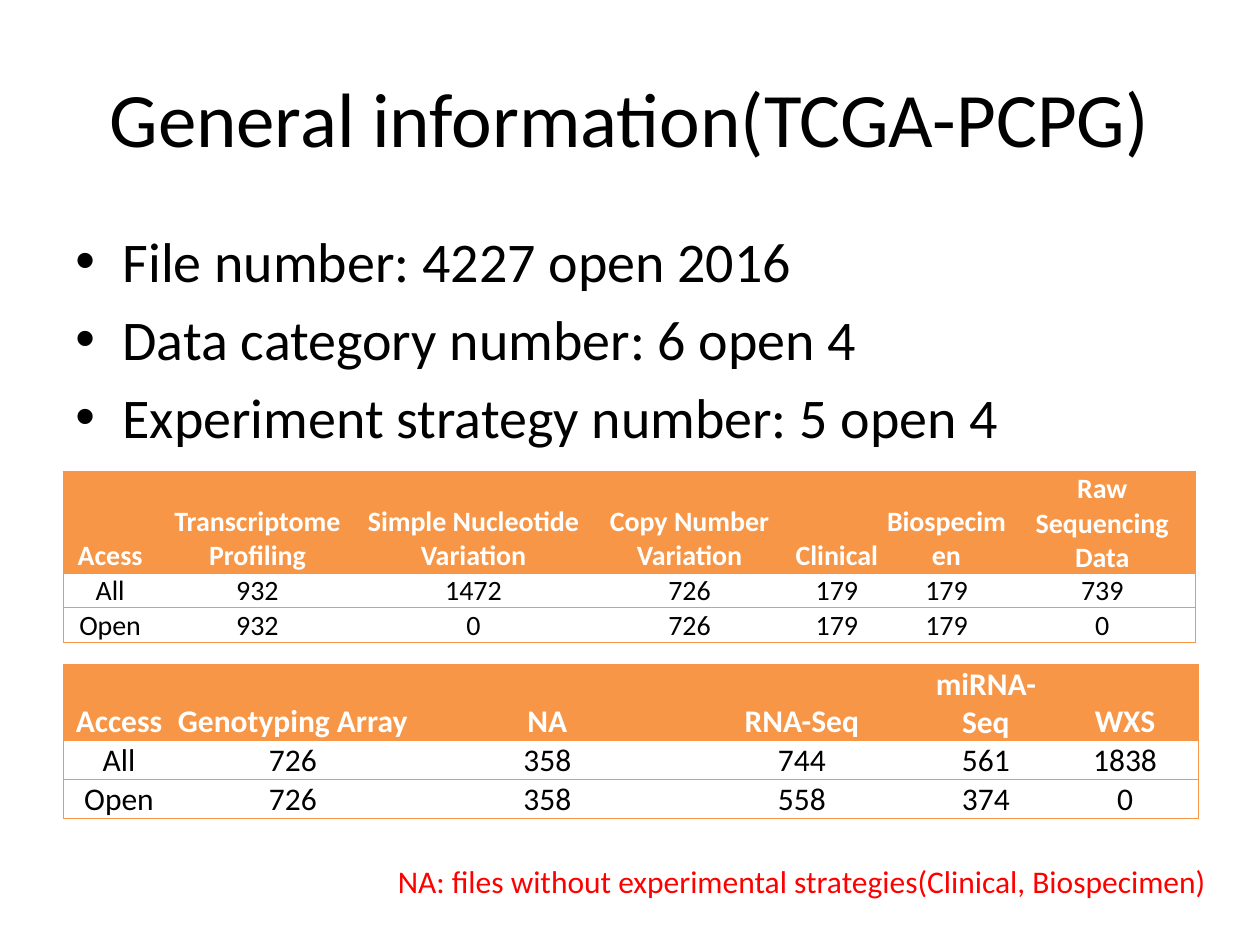
import pptx
import pptx.dml.color
import pptx.enum.text
import pptx.oxml
import pptx.oxml.ns
import pptx.util

Cm = pptx.util.Cm
Pt = pptx.util.Pt
Align = pptx.enum.text.PP_ALIGN
Anchor = pptx.enum.text.MSO_ANCHOR

COLORS = {"text": "000000", "accent": "F79646", "header": "FFFFFF", "note": "FF0000"}
FONT = "Calibri"
PLAIN_TABLE_STYLE = "{2D5ABB26-0587-4C30-8999-92F81FD0307C}"


def color(name):
    return pptx.dml.color.RGBColor.from_string(COLORS[name])


def style_paragraph(paragraph, size, color_name, align=Align.LEFT, bold=False):
    paragraph.alignment = align
    paragraph.font.name = FONT
    paragraph.font.size = Pt(size)
    paragraph.font.bold = bold
    paragraph.font.color.rgb = color(color_name)


def add_text(slide, box, lines, size, color_name="text", align=Align.LEFT, anchor=Anchor.TOP):
    """Place one paragraph per line in box (left, top, width, height in cm)."""
    frame = slide.shapes.add_textbox(*map(Cm, box)).text_frame
    frame.word_wrap = True
    frame.vertical_anchor = anchor
    frame.text = "\n".join(lines)
    for paragraph in frame.paragraphs:
        style_paragraph(paragraph, size, color_name, align)
    return frame


def add_bullets(slide, box, lines):
    frame = add_text(slide, box, lines, 32)
    for index, paragraph in enumerate(frame.paragraphs):
        properties = paragraph._p.get_or_add_pPr()
        properties.set("marL", str(Cm(0.95)))
        properties.set("indent", str(-Cm(0.95)))
        if index:
            paragraph.space_before = Pt(6)
        # Bullet elements go ahead of the default run properties
        default_run = properties.find(pptx.oxml.ns.qn("a:defRPr"))
        for tag, attribute in (("buFont", 'typeface="Arial"'), ("buChar", 'char="•"')):
            default_run.addprevious(pptx.oxml.parse_xml(
                f'<a:{tag} {pptx.oxml.ns.nsdecls("a")} {attribute}/>'))


def add_borders(cell, sides):
    properties = cell._tc.get_or_add_tcPr()
    for side in sides:
        properties.append(pptx.oxml.parse_xml(
            f'<a:ln{side} {pptx.oxml.ns.nsdecls("a")} w="{Pt(0.5)}"><a:solidFill>'
            f'<a:srgbClr val="{COLORS["accent"]}"/></a:solidFill></a:ln{side}>'))


def add_count_table(slide, left, top, widths, heights, rows, size):
    """Table with a filled header, ruled rows and an outer frame."""
    shape = slide.shapes.add_table(len(rows), len(widths), Cm(left), Cm(top),
                                   Cm(sum(widths)), Cm(sum(heights)))
    table = shape.table
    table.horz_banding = False
    table._tbl.tblPr.find(pptx.oxml.ns.qn("a:tableStyleId")).text = PLAIN_TABLE_STYLE
    for column, width in zip(table.columns, widths):
        column.width = Cm(width)
    for row, height in zip(table.rows, heights):
        row.height = Cm(height)

    last_column = len(widths) - 1
    for row_index, values in enumerate(rows):
        is_header = row_index == 0
        for column_index, value in enumerate(values):
            cell = table.cell(row_index, column_index)
            cell.text = value
            cell.vertical_anchor = Anchor.BOTTOM
            cell.margin_left = cell.margin_right = cell.margin_top = Cm(0.02)
            cell.margin_bottom = 0
            sides = ["L"] * (column_index == 0) + ["R"] * (column_index == last_column)
            add_borders(cell, sides + ["T", "B"])
            if is_header:
                cell.fill.solid()
                cell.fill.fore_color.rgb = color("accent")
            else:
                cell.fill.background()
            style_paragraph(cell.text_frame.paragraphs[0], size,
                            "header" if is_header else "text", Align.CENTER, is_header)


def main():
    presentation = pptx.Presentation()
    presentation.slide_width = Cm(25.4)
    presentation.slide_height = Cm(19.05)
    slide = presentation.slides.add_slide(presentation.slide_layouts[6])

    # Title and key figures
    add_text(slide, (1.27, 0.76, 22.86, 3.18), ["General information(TCGA-PCPG)"], 44,
             align=Align.CENTER, anchor=Anchor.MIDDLE)
    add_bullets(slide, (1.27, 4.45, 22.86, 12.57), [
        "File number: 4227 open 2016",
        "Data category number: 6 open 4",
        "Experiment strategy number: 5 open 4",
    ])

    # Files by data category
    add_count_table(slide, 1.27, 9.5, [1.9, 4.04, 4.67, 4.04, 1.9, 2.52, 3.76],
                    [1.75, 0.69, 0.69], [
        ["Acess", "Transcriptome Profiling", "Simple Nucleotide Variation",
         "Copy Number Variation", "Clinical", "Biospecimen", "Raw Sequencing Data"],
        ["All", "932", "1472", "726", "179", "179", "739"],
        ["Open", "932", "0", "726", "179", "179", "0"],
    ], 16)

    # Files by experimental strategy
    add_count_table(slide, 1.27, 13.39, [2.26, 4.75, 5.51, 4.75, 2.67, 2.94],
                    [1.37, 0.71, 0.71], [
        ["Access", "Genotyping Array", "NA", "RNA-Seq", "miRNA-Seq", "WXS"],
        ["All", "726", "358", "744", "561", "1838"],
        ["Open", "726", "358", "558", "374", "0"],
    ], 18)

    # Footnote
    add_text(slide, (7.77, 17.25, 17.73, 1.02),
             ["NA: files without experimental strategies(Clinical, Biospecimen)"], 18, "note")

    presentation.save("out.pptx")


if __name__ == "__main__":
    main()
